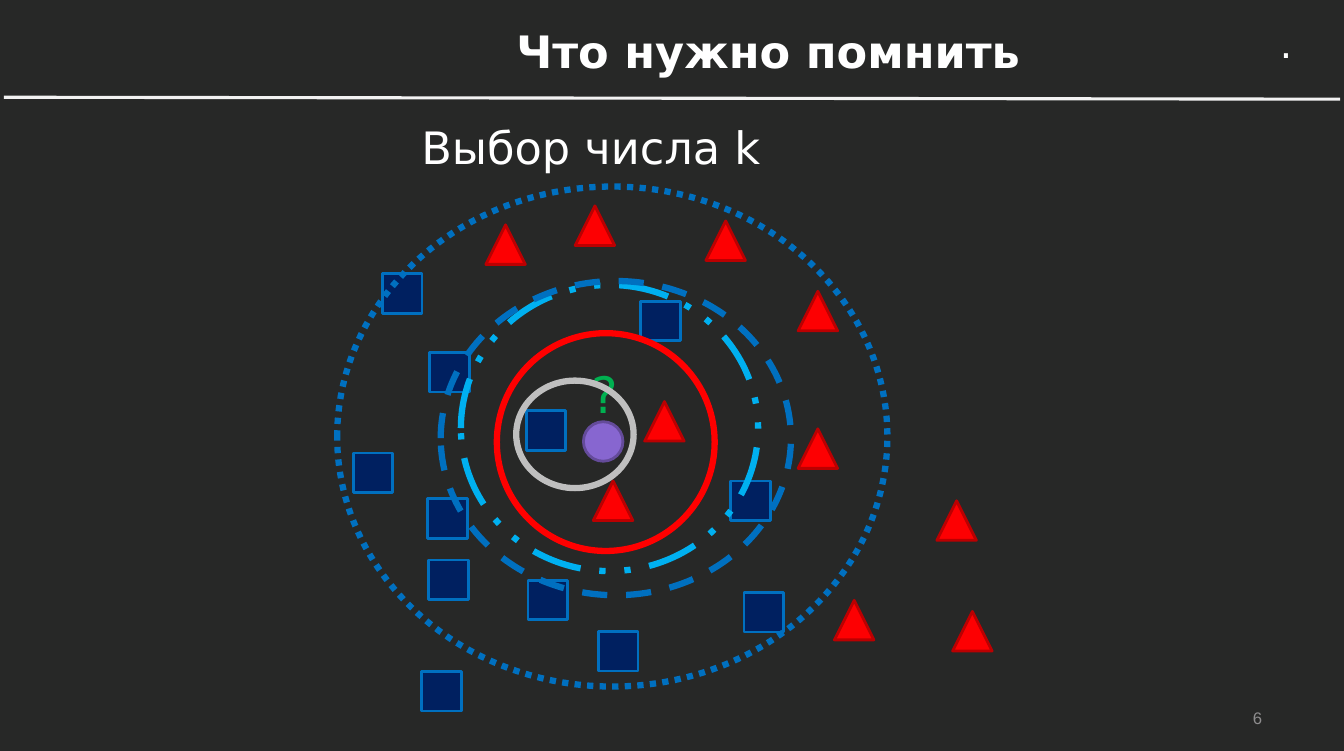
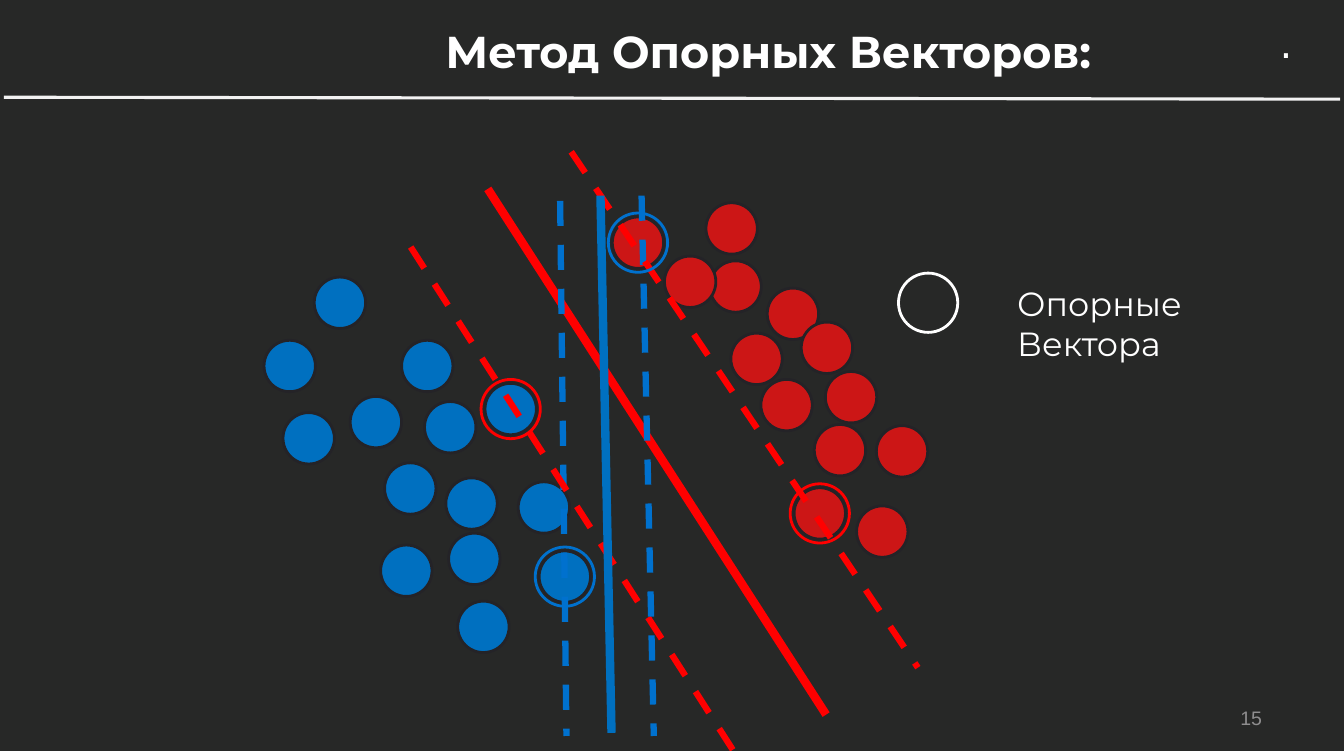
from dataclasses import dataclass

from lxml import etree
from pptx import Presentation
from pptx.dml.color import RGBColor
from pptx.enum.dml import MSO_LINE as Dash
from pptx.enum.shapes import MSO_CONNECTOR, MSO_SHAPE as Shape
from pptx.enum.text import MSO_ANCHOR as Anchor, MSO_AUTO_SIZE as Fit, PP_ALIGN as Align
from pptx.oxml.ns import qn
from pptx.util import Cm, Pt


@dataclass(frozen=True)
class Theme:
    # Colours
    background: str = "272827"
    text: str = "FFFFFF"
    rule: str = "F2F2F2"
    page: str = "8E8D8E"
    navy: str = "002060"
    blue: str = "0070C0"
    bright_blue: str = "0071CE"
    sky: str = "00B0F0"
    red: str = "FF0000"
    triangle: str = "FD0002"
    triangle_edge: str = "BB0001"
    dot_red: str = "CC1616"
    dot_edge: str = "242327"
    query: str = "8766D0"
    query_edge: str = "644B9A"
    green: str = "00B050"
    grey: str = "BFBFBF"
    # Fonts
    sans: str = "DejaVu Sans"
    display: str = "Montserrat"
    number: str = "Arial"
    # Type sizes and line widths, in points
    title_size: float = 32
    mark_size: float = 36
    corner_size: float = 27.9
    legend_size: float = 24
    thin: float = 2
    rule_width: float = 2.25
    thick: float = 4.5
    heavy: float = 6


T = Theme()


# Drawing helpers; all lengths are centimetres
def style_line(line, color, width, dash=None):
    line.color.rgb = RGBColor.from_string(color)
    line.width = Pt(width)
    if dash is not None:
        line.dash_style = dash


def add_outline(s, kind, box, edge, width=T.thin, fill=None, dash=None):
    sp = s.shapes.add_shape(kind, *map(Cm, box))
    sp.shadow.inherit = False
    if fill:
        sp.fill.solid()
        sp.fill.fore_color.rgb = RGBColor.from_string(fill)
    else:
        sp.fill.background()
    style_line(sp.line, edge, width, dash)


def add_line(s, start, end, color, width, dash=None):
    sp = s.shapes.add_connector(MSO_CONNECTOR.STRAIGHT, *map(Cm, (*start, *end)))
    style_line(sp.line, color, width, dash)
    etree.SubElement(sp._element.spPr, qn("a:effectLst"))


def add_text(s, box, text, size, font, color=T.text, bold=False,
             align=Align.LEFT, anchor=Anchor.TOP, wrap=False):
    tf = s.shapes.add_textbox(*map(Cm, box)).text_frame
    tf.word_wrap = wrap
    tf.auto_size = Fit.NONE if wrap else Fit.SHAPE_TO_FIT_TEXT
    tf.vertical_anchor = anchor
    p = tf.paragraphs[0]
    p.text = text
    p.alignment = align
    p.font.size = Pt(size)
    p.font.name = font
    p.font.bold = bold
    p.font.color.rgb = RGBColor.from_string(color)


def add_frame(prs, title, font, page, page_size):
    """New slide with page number, rule, corner mark and title."""
    s = prs.slides.add_slide(prs.slide_layouts[6])
    add_text(s, (24.28, 17.65, 7.9, 1.02), page, page_size, T.number, T.page,
             align=Align.RIGHT, anchor=Anchor.MIDDLE, wrap=True)
    add_line(s, (0.1, 2.46), (33.9, 2.51), T.rule, T.rule_width)
    add_text(s, (32.13, 0.38, 0.86, 1.45), ".", T.corner_size, T.sans)
    add_text(s, (8.74, 0.48, 21.4, 1.35), title, T.title_size, font, bold=True,
             align=Align.CENTER, wrap=True)
    return s


# Nearest neighbours: offsets from the corner of the plot
MARK = 1
SQUARES = [
    (4.81, 5.69), (7.71, 2.92), (9.99, 7.47), (1.18, 2.23), (2.35, 9.47),
    (6.64, 11.28), (10.32, 10.29), (2.17, 12.29), (4.86, 9.98), (2.32, 7.92),
    (0.44, 6.76), (2.37, 4.22),
]
TRIANGLES = [
    (6.05, 0.51), (7.81, 5.46), (3.79, 0.99), (9.36, 0.89), (11.69, 6.15),
    (15.2, 7.97), (12.61, 10.49), (6.51, 7.47), (15.6, 10.77), (11.69, 2.67),
]
NEIGHBOURHOODS = [
    (4.07, 3.73, 5.51, 5.51, T.red, None),
    (3.16, 2.51, 7.52, 7.24, T.sky, Dash.DASH_DOT_DOT),
    (2.65, 2.41, 8.86, 7.95, T.blue, Dash.DASH),
    (0.03, 0.02, 13.92, 12.65, T.blue, Dash.ROUND_DOT),
    (4.56, 4.93, 2.97, 2.72, T.grey, None),
]


def add_neighbour_plot(s, left, top):
    # Classes and the unknown point
    for kind, points, fill, edge in (
        (Shape.RECTANGLE, SQUARES, T.navy, T.blue),
        (Shape.ISOSCELES_TRIANGLE, TRIANGLES, T.triangle, T.triangle_edge),
        (Shape.OVAL, [(6.26, 5.97)], T.query, T.query_edge),
    ):
        for x, y in points:
            add_outline(s, kind, (left + x, top + y, MARK, MARK), edge, fill=fill)
    add_text(s, (left + 6.21, top + 4.37, 1.24, 1.8), "?", T.mark_size, T.sans, T.green)
    # Neighbourhoods for different k
    for x, y, w, h, color, dash in NEIGHBOURHOODS:
        add_outline(s, Shape.OVAL, (left + x, top + y, w, h), color, T.thick, dash=dash)


# Support vectors: offsets from the corner of the plot
DOT, RING = 1.3, 1.5
BLUE_SUPPORT, LOWER_BLUE_SUPPORT = (5.67, 5.9), (7.04, 10.14)
RED_SUPPORT, LOWER_RED_SUPPORT = (8.89, 1.69), (13.49, 8.54)
BLUE_DOTS = [
    (3.13, 7.91), (4.14, 6.36), LOWER_BLUE_SUPPORT, (4.68, 8.29), (6.51, 8.39),
    (4.75, 9.69), (3.56, 4.81), BLUE_SUPPORT, (0.08, 4.81), (1.35, 3.21),
    (0.56, 6.64), (4.98, 11.41), (3.03, 9.99), (2.26, 6.23),
]
RED_DOTS = [
    (11.26, 1.33), (11.36, 2.8), (12.81, 3.49), (14.28, 5.6), (15.57, 6.97),
    (15.07, 9), (12.65, 5.8), LOWER_RED_SUPPORT, (14, 6.94), (11.89, 4.63),
    RED_SUPPORT, (10.21, 2.68), (13.67, 4.35),
]
SUPPORTS = [
    (RED_SUPPORT, T.bright_blue), (LOWER_BLUE_SUPPORT, T.bright_blue),
    (BLUE_SUPPORT, T.red), (LOWER_RED_SUPPORT, T.red),
]
BORDERS = [
    (5.74, 0.98, 14.3, 14.28, T.red, T.heavy, None),
    (7.57, 1.28, 7.73, 14.82, T.bright_blue, T.thick, Dash.DASH),
    (3.79, 2.45, 11.97, 15.22, T.red, T.thick, Dash.DASH),
    (9.63, 1.15, 9.94, 14.82, T.bright_blue, T.thick, Dash.DASH),
    (7.85, 0.04, 16.62, 13.09, T.red, T.thick, Dash.DASH),
    (8.59, 1.15, 8.87, 14.74, T.blue, T.heavy, None),
]


def add_vector_plot(s, left, top):
    # Two classes
    for points, fill in ((BLUE_DOTS, T.blue), (RED_DOTS, T.dot_red)):
        for x, y in points:
            add_outline(s, Shape.OVAL, (left + x, top + y, DOT, DOT), T.dot_edge, fill=fill)
    # Separating lines and their margins
    for x1, y1, x2, y2, color, width, dash in BORDERS:
        add_line(s, (left + x1, top + y1), (left + x2, top + y2), color, width, dash)
    # Rings centred on the support vectors
    gap = (RING - DOT) / 2
    for (x, y), color in SUPPORTS:
        add_outline(s, Shape.OVAL, (left + x - gap, top + y - gap, RING, RING), color)


def add_legend(s, left, top):
    add_outline(s, Shape.OVAL, (left, top, RING, RING), T.text)
    add_text(s, (left + 2.75, top + 0.13, 8.5, 1.27), "Опорные Вектора",
             T.legend_size, T.display)


def main():
    prs = Presentation()
    prs.slide_width, prs.slide_height = Cm(34), Cm(19)
    fill = prs.slide_master.background.fill
    fill.solid()
    fill.fore_color.rgb = RGBColor.from_string(T.background)

    s = add_frame(prs, "Что нужно помнить", T.sans, "6", 12)
    add_neighbour_plot(s, 8.5, 4.7)
    add_text(s, (10.41, 2.9, 9.3, 1.63), "Выбор числа k", T.title_size, T.sans)

    s = add_frame(prs, "Метод Опорных Векторов:", T.display, "15", 14)
    add_legend(s, 22.73, 6.91)
    add_vector_plot(s, 6.6, 3.8)

    prs.save("out.pptx")


if __name__ == "__main__":
    main()
